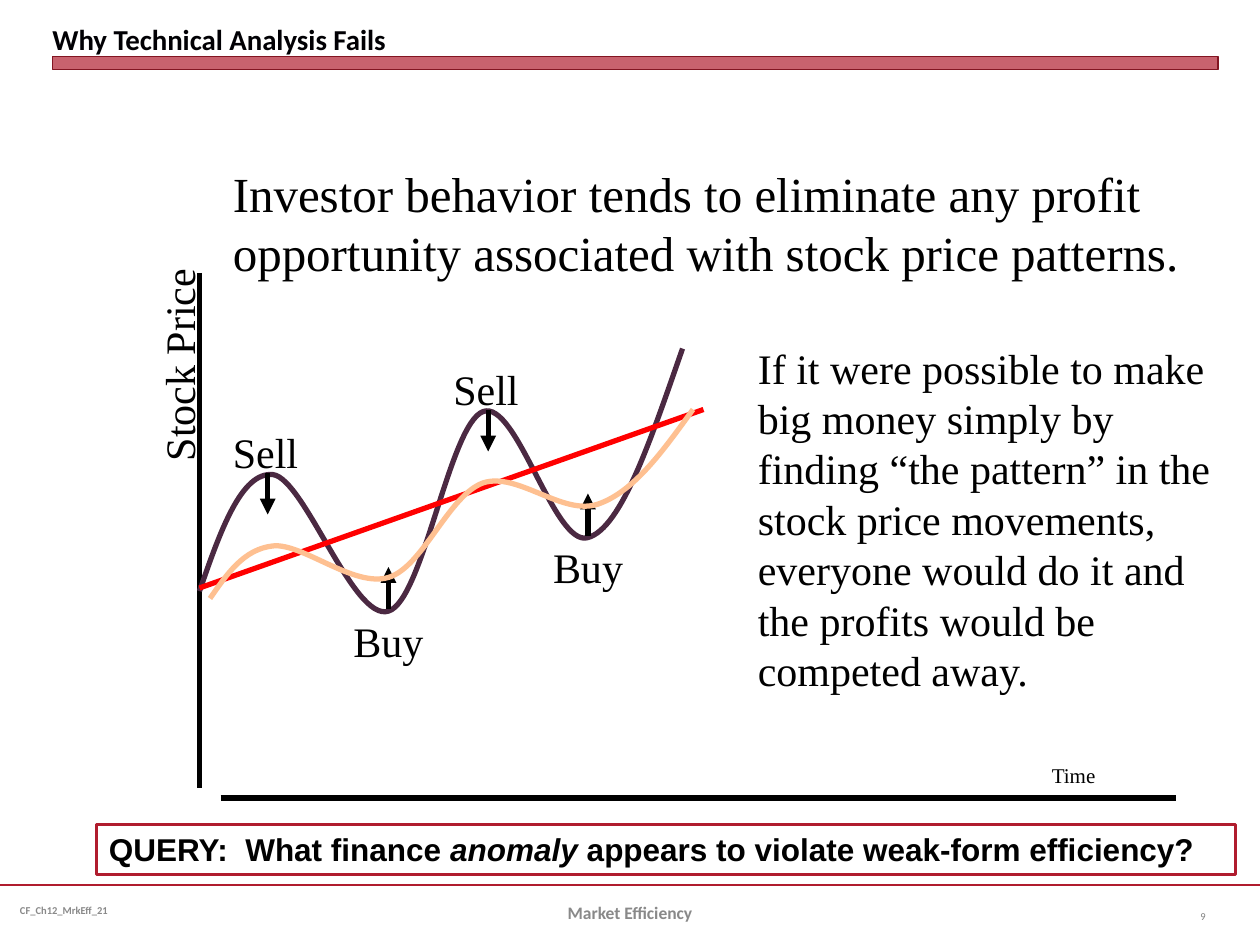
import pptx
import pptx.util
import pptx.dml.color
import pptx.enum.shapes
import pptx.enum.text
import pptx.oxml.ns
from lxml import etree

PX = 7620  # EMU per px, 120 px to the inch
RGB = pptx.dml.color.RGBColor
BLACK = RGB(0x00, 0x00, 0x00)
INK = RGB(0x01, 0x00, 0x04)
CRIMSON = RGB(0xB0, 0x1C, 0x2E)
DARK_CRIMSON = RGB(0x82, 0x15, 0x22)
GREY = RGB(0x89, 0x89, 0x89)
NUMBER_GREY = RGB(0x80, 0x80, 0x80)
PLUM = RGB(0x4B, 0x29, 0x42)
PEACH = RGB(0xFE, 0xC0, 0x91)
RED = RGB(0xFF, 0x00, 0x00)
ALIGN = pptx.enum.text.PP_ALIGN
ANCHOR = pptx.enum.text.MSO_ANCHOR
GROW = pptx.enum.text.MSO_AUTO_SIZE.SHAPE_TO_FIT_TEXT
RECT = pptx.enum.shapes.MSO_SHAPE.RECTANGLE
STRAIGHT = pptx.enum.shapes.MSO_CONNECTOR.STRAIGHT
qn = pptx.oxml.ns.qn

prs = pptx.Presentation()
prs.slide_width, prs.slide_height = 1200 * PX, 900 * PX
s = prs.slides.add_slide(prs.slide_layouts[6])


def add_text(shapes, box, text, size, font="Times New Roman", color=BLACK, bold=False,
             align=ALIGN.LEFT, anchor=ANCHOR.TOP):
    sp = shapes.add_textbox(*[v * PX for v in box])
    tf = sp.text_frame
    tf.word_wrap = True
    tf.vertical_anchor = anchor
    if anchor == ANCHOR.TOP:
        tf.auto_size = GROW
    p = tf.paragraphs[0]
    p.alignment = align
    r = p.add_run()
    r.text = text
    r.font.size, r.font.name, r.font.bold = pptx.util.Pt(size), font, bold
    r.font.color.rgb = color
    return sp


def add_line(shapes, x1, y1, x2, y2, color=BLACK, width=3, arrow=False):
    sp = shapes.add_connector(STRAIGHT, x1 * PX, y1 * PX, x2 * PX, y2 * PX)
    sp.line.color.rgb = color
    sp.line.width = pptx.util.Pt(width)
    if arrow:
        etree.SubElement(sp.line._get_or_add_ln(), qn("a:tailEnd"), type="triangle")
    etree.SubElement(sp._element.spPr, qn("a:effectLst"))


# Footer
add_line(s.shapes, 0, 843, 1200, 843, CRIMSON, 1.25)
sp = add_text(s.shapes, (10, 843, 310, 48), "CF_Ch12_MrkEff_21", 6, "Calibri", GREY, True,
              anchor=ANCHOR.MIDDLE)
tf = sp.text_frame
tf.margin_left = tf.margin_right = 9 * PX
tf.margin_top = tf.margin_bottom = 5 * PX

# Title and bar
bar = s.shapes.add_shape(RECT, 50 * PX, 54 * PX, 1110 * PX, 12 * PX)
bar.shadow.inherit = False
bar.fill.solid()
bar.fill.fore_color.rgb = CRIMSON
etree.SubElement(bar._element.spPr.find(".//" + qn("a:srgbClr")), qn("a:alpha"), val="69000")
bar.line.color.rgb = DARK_CRIMSON
bar.line.width = 0
sp = add_text(s.shapes, (50, 6, 1110, 48), "Why Technical Analysis Fails", 16.5, "Calibri",
              INK, True, anchor=ANCHOR.BOTTOM)
tf = sp.text_frame
tf.margin_left = tf.margin_right = tf.margin_top = tf.margin_bottom = 0

# Slide number and lecture name
add_text(s.shapes, (1100, 849, 60, 48), "9", 6, "Calibri", NUMBER_GREY,
         align=ALIGN.RIGHT, anchor=ANCHOR.MIDDLE)
add_text(s.shapes, (410, 845, 380, 48), "Market Efficiency", 10, "Calibri", GREY, True,
         ALIGN.CENTER, ANCHOR.MIDDLE)

# Axes and their labels
add_line(s.shapes, 190, 260, 190, 750)
add_line(s.shapes, 210, 760, 1120, 760)
add_text(s.shapes, (54, 305, 232, 60), "Stock Price", 24).rotation = 270
add_text(s.shapes, (990, 720, 120, 36), "Time", 12)

# Statements
add_text(s.shapes, (210, 150, 950, 124), "Investor behavior tends to eliminate any profit "
         "opportunity associated with stock price patterns.", 28)
add_text(s.shapes, (710, 320, 470, 348), "If it were possible to make big money simply by "
         "finding “the pattern” in the stock price movements, everyone would do it and the "
         "profits would be competed away.", 24)

# Price curves: a start point, then two controls and an end point per Bezier span
price = [(190, 563), (210, 505), (230, 449), (260, 452), (290, 456), (337, 593), (370, 582),
         (403, 572), (428, 404), (460, 392), (492, 380), (528, 522), (560, 512),
         (592, 503), (620, 418), (650, 332)]
damped = [(200, 570), (216, 547), (232, 523), (260, 520), (288, 517), (337, 560), (370, 550),
          (403, 540), (427, 472), (460, 460), (493, 449), (536, 492), (570, 480),
          (604, 468), (631, 430), (660, 390)]
for curve, color in ((price, PLUM), (damped, PEACH)):
    fb = s.shapes.build_freeform(*curve[0], scale=PX)
    fb.add_line_segments(curve[1:], close=False)
    sp = fb.convert_to_shape()
    # Every three straight segments become one Bezier span
    segments = sp._element.findall(".//" + qn("a:lnTo"))
    for i in range(0, len(segments), 3):
        segments[i].addprevious(bezier := etree.Element(qn("a:cubicBezTo")))
        for segment in segments[i:i + 3]:
            bezier.append(segment[0])
            segment.getparent().remove(segment)
    sp.shadow.inherit = False
    sp.fill.background()
    sp.line.color.rgb = color
    sp.line.width = pptx.util.Pt(3)
    if color == PEACH:
        continue

    # Trend and trading signals lie between the two curves
    add_line(s.shapes, 190, 560, 670, 390, RED)
    for word, x, y1, y2, left, top, width, align in (
            ("Sell", 255, 450, 490, 210, 400, 90, ALIGN.LEFT),
            ("Sell", 465, 390, 430, 420, 340, 90, ALIGN.LEFT),
            ("Buy", 370, 580, 540, 320, 580, 100, ALIGN.CENTER),
            ("Buy", 560, 510, 470, 510, 510, 100, ALIGN.CENTER)):
        group = s.shapes.add_group_shape()
        add_line(group.shapes, x, y1, x, y2, arrow=True)
        add_text(group.shapes, (left, top, width, 60), word, 24, align=align)

# Query box
sp = s.shapes.add_shape(RECT, 92 * PX, 785 * PX, 1085 * PX, 48 * PX)
sp.shadow.inherit = False
sp.fill.background()
sp.line.color.rgb = CRIMSON
sp.line.width = pptx.util.Pt(1.5)
tf = sp.text_frame
tf.word_wrap = False
tf.auto_size = GROW
tf.vertical_anchor = ANCHOR.TOP
p = tf.paragraphs[0]
p.alignment = ALIGN.LEFT
for text, italic in (("QUERY:  What finance ", False), ("anomaly", True),
                     (" appears to violate weak-form efficiency?", False)):
    r = p.add_run()
    r.text = text
    r.font.size, r.font.name = pptx.util.Pt(18), "Arial"
    r.font.bold, r.font.italic = True, italic
    r.font.color.rgb = BLACK

prs.save("out.pptx")
